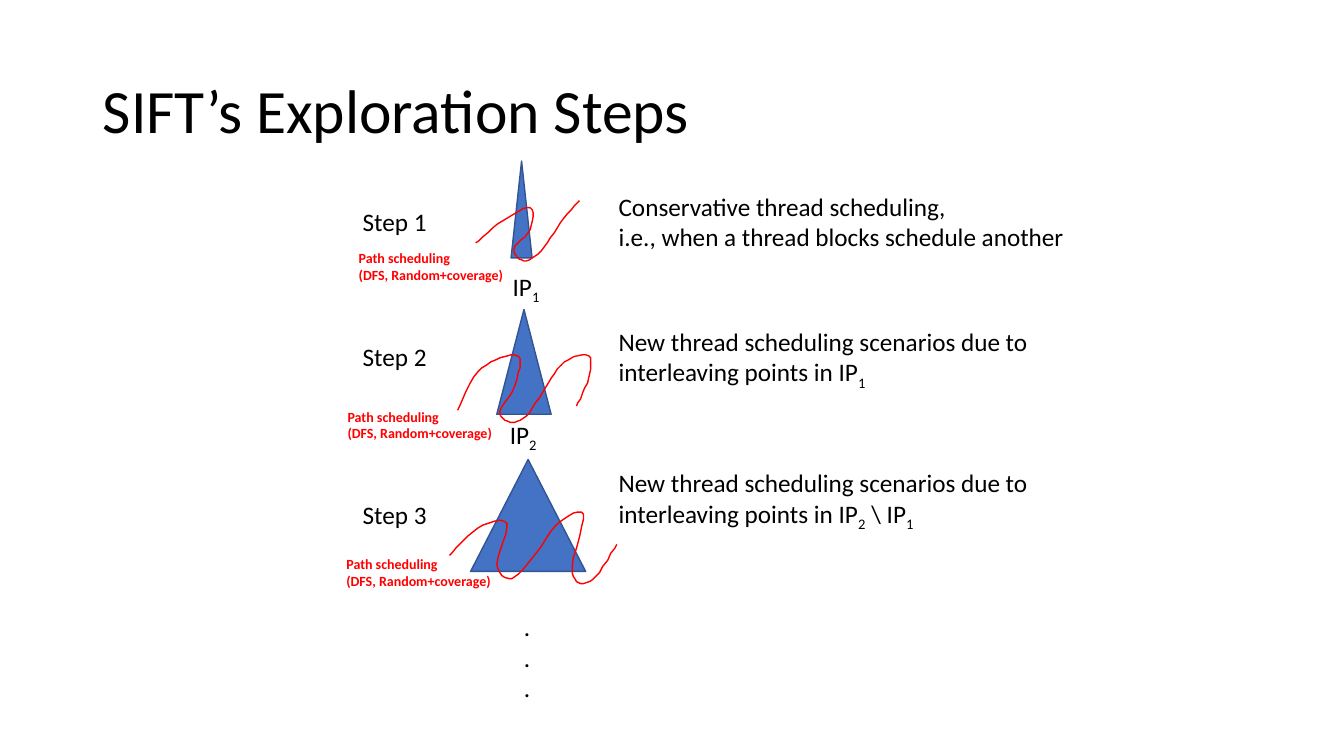
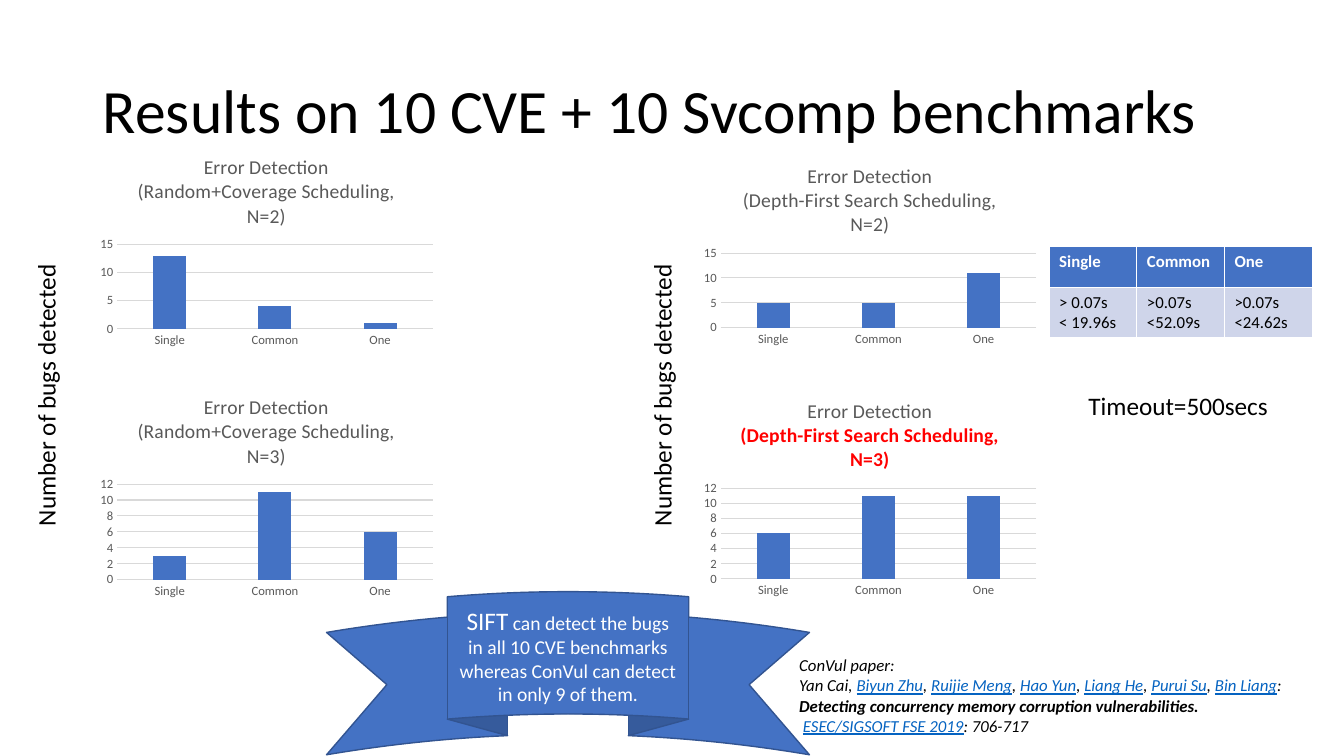
from lxml.etree import SubElement
from pptx import Presentation
from pptx.chart.data import CategoryChartData
from pptx.dml.color import RGBColor
from pptx.enum.chart import XL_CHART_TYPE, XL_TICK_MARK
from pptx.enum.shapes import MSO_SHAPE
from pptx.enum.text import MSO_ANCHOR, MSO_AUTO_SIZE, PP_ALIGN
from pptx.oxml.ns import qn
from pptx.util import Cm, Pt

BLACK = RGBColor(0x00, 0x00, 0x00)
WHITE = RGBColor(0xFF, 0xFF, 0xFF)
RED = RGBColor(0xFF, 0x00, 0x00)
BLUE = RGBColor(0x44, 0x72, 0xC4)
DARK_BLUE = RGBColor(0x32, 0x54, 0x91)
LINK_BLUE = RGBColor(0x05, 0x63, 0xC1)
PALE_BLUE = RGBColor(0xCF, 0xD5, 0xEA)
GREY = RGBColor(0x59, 0x59, 0x59)
LIGHT_GREY = RGBColor(0xD9, 0xD9, 0xD9)

TITLE = {"size": Pt(44), "color": BLACK}
BODY = {"size": Pt(18), "color": BLACK}
STRATEGY = {"size": Pt(10), "bold": True, "color": RED}
CITATION = {"size": Pt(12), "italic": True, "color": BLACK}
RIBBON = {"size": Pt(14), "color": WHITE}
CHART_TITLE = {"size": Pt(14), "bold": False, "color": GREY}
TICK_LABEL = {"size": Pt(9), "color": GREY}
HEADER_CELL = {"size": Pt(12), "bold": True, "color": WHITE}
BODY_CELL = {"size": Pt(12), "bold": False, "color": BLACK}
LINK = {"color": LINK_BLUE, "underline": True}
SUBSCRIPT = {"baseline": "-25000"}

# A paragraph is a string or a list of spans; a span is a string or (text, format).
SUB_1, SUB_2 = ("1", SUBSCRIPT), ("2", SUBSCRIPT)
STRATEGY_TEXT = ["Path scheduling", "(DFS, Random+coverage)"]
NEW_SCENARIOS = "New thread scheduling scenarios due to"
LINE_HEIGHT = 1.02
LABEL_LEFT, NOTE_LEFT = 8.89, 15.34
SCRIBBLE_UNIT = Cm(2.54) / 100
CURVE_PARTS = 6

STEPS = [
    {
        "label": ("Step 1", 5.08),
        "triangle": (12.88, 4.06, 0.53, 2.44),
        "note": (["Conservative thread scheduling,",
                  "i.e., when a thread blocks schedule another"], 4.7, 11.86),
        "strategy": (8.79, 6.17),
        "points": ([["IP", SUB_1]], 12.67, 6.71),
        "scribble": [(472, 241), (499, 219), (526, 206), (526, 228), (510, 247),
                     (520, 259), (537, 249), (556, 221), (575, 199)],
    },
    {
        "label": ("Step 2", 8.48),
        "triangle": (12.52, 7.8, 1.37, 2.64),
        "note": ([NEW_SCENARIOS, ["interleaving points in IP", SUB_1]], 8.1, 11.1),
        "strategy": (8.51, 10.16),
        "points": ([["IP", SUB_2]], 12.6, 10.44),
        "scribble": [(454, 407), (474, 369), (500, 354), (516, 356), (509, 387),
                     (496, 408), (506, 419), (522, 413), (541, 385), (560, 359),
                     (584, 353), (584, 375), (572, 403)],
    },
    {
        "label": ("Step 3", 12.47),
        "triangle": (11.86, 11.58, 2.9, 2.82),
        "note": ([NEW_SCENARIOS,
                  ["interleaving points in IP", SUB_2, " \\ IP", SUB_1]], 11.66, 11.1),
        "strategy": (8.48, 13.87),
        "points": None,
        "scribble": [(446, 551), (474, 524), (503, 519), (493, 560), (508, 574),
                     (531, 550), (554, 519), (579, 510), (568, 560), (574, 578),
                     (591, 572), (612, 540)],
    },
]

CATEGORIES = ["Single", "Common", "One"]
CHART_LEFTS = {"Random+Coverage": 2.34, "Depth-First Search": 17.55}
CHART_WIDTH = 8.74
ABOVE_PLOT, BELOW_PLOT = 2.6, 0.6
SCALES = {2: (15, 5), 3: (12, 2)}  # maximum and step for each N
# Scheduling, N, values, top, height, format of the subtitle
CHARTS = [
    ("Random+Coverage", 2, (13, 4, 1), 3.56, 5.33, {}),
    ("Depth-First Search", 2, (5, 5, 11), 3.78, 5.08, {}),
    ("Random+Coverage", 3, (3, 11, 6), 9.6, 5.61, {}),
    ("Depth-First Search", 3, (6, 11, 11), 9.7, 5.49, {"bold": True, "color": RED}),
]
AXIS_TITLE_LEFTS = [-2.44, 13.08]
TIMES = [["> 0.07s", "< 19.96s"], [">0.07s", "<52.09s"], [">0.07s", "<24.62s"]]
RIBBON_TEXT = [[
    ("SIFT", {"size": Pt(18)}),
    " can detect the bugs in all 10 CVE benchmarks whereas ConVul can detect "
    "in only 9 of them."]]
COAUTHORS = ["Biyun Zhu", "Ruijie Meng", "Hao Yun", "Liang He", "Purui Su", "Bin Liang"]


def citation_paragraphs():
    authors = ["Yan Cai"]
    for name in COAUTHORS:
        authors += [", ", (name, LINK)]
    return [
        "ConVul paper:",
        authors + [":"],
        [("Detecting concurrency memory corruption vulnerabilities.", {"bold": True})],
        [" ", ("ESEC/SIGSOFT FSE 2019", LINK), ": 706-717"],
    ]


def set_font(font, values):
    for key, value in {"name": "Calibri", **values}.items():
        if key == "color":
            font.color.rgb = value
        elif key != "baseline":
            setattr(font, key, value)


def write(frame, paragraphs, style, align=PP_ALIGN.LEFT):
    for index, spans in enumerate(paragraphs):
        para = frame.add_paragraph() if index else frame.paragraphs[0]
        para.alignment = align
        for part in [spans] if isinstance(spans, str) else spans:
            text, extra = (part, {}) if isinstance(part, str) else part
            span = para.add_run()
            span.text = text
            set_font(span.font, {**style, **extra})
            if "baseline" in extra:
                span._r.get_or_add_rPr().set("baseline", extra["baseline"])


def add_text(page, place, paragraphs, style=BODY, wrap=False, rotation=0):
    box = page.shapes.add_textbox(*map(Cm, place))
    box.rotation = rotation
    box.text_frame.word_wrap = wrap
    box.text_frame.auto_size = MSO_AUTO_SIZE.SHAPE_TO_FIT_TEXT
    write(box.text_frame, paragraphs, style)


def add_titled_page(deck, text):
    page = deck.slides.add_slide(deck.slide_layouts[5])
    title = page.shapes.title
    title.left, title.top, title.width, title.height = map(Cm, (2.34, 1.02, 29.21, 3.68))
    frame = title.text_frame
    frame.auto_size = MSO_AUTO_SIZE.NONE
    frame.vertical_anchor = MSO_ANCHOR.MIDDLE
    write(frame, [text], TITLE)
    frame.paragraphs[0].line_spacing = 0.9
    return page


def add_blue_shape(page, kind, place):
    shape = page.shapes.add_shape(kind, *map(Cm, place))
    shape.shadow.inherit = False
    shape.fill.solid()
    shape.fill.fore_color.rgb = BLUE
    shape.line.color.rgb = DARK_BLUE
    shape.line.width = Pt(1)
    return shape


def smooth(points):
    """Return points along a Catmull-Rom curve through the given ones."""
    padded = [points[0], *points, points[-1]]
    curve = [points[0]]
    for corners in zip(padded, padded[1:], padded[2:], padded[3:]):
        for part in range(1, CURVE_PARTS + 1):
            t = part / CURVE_PARTS
            curve.append(tuple(
                b + t * (c - a) / 2 + t**2 * (a - 2.5 * b + 2 * c - d / 2)
                + t**3 * (3 * (b - c) + d - a) / 2
                for a, b, c, d in zip(*corners)))
    return curve


def add_scribble(page, points):
    start, *others = smooth(points)
    builder = page.shapes.build_freeform(*start, scale=SCRIBBLE_UNIT)
    builder.add_line_segments(others, close=False)
    scribble = builder.convert_to_shape()
    scribble.shadow.inherit = False
    scribble.fill.background()
    scribble.line.color.rgb = RED
    scribble.line.width = Pt(1)


def add_step(page, step):
    label, label_top = step["label"]
    note, note_top, note_width = step["note"]
    add_blue_shape(page, MSO_SHAPE.ISOSCELES_TRIANGLE, step["triangle"])
    add_text(page, (LABEL_LEFT, label_top, 2.13, LINE_HEIGHT), [label])
    add_text(page, (NOTE_LEFT, note_top, note_width, 1.8), note)
    if step["points"]:
        text, left, top = step["points"]
        add_text(page, (left, top, 1.22, LINE_HEIGHT), text)
    add_scribble(page, step["scribble"])
    add_text(page, (*step["strategy"], 4.22, 1.12), STRATEGY_TEXT, STRATEGY)


def fix_plot_area(chart, chart_height):
    """Pin the inner plot area at fixed distances from the chart's edges."""
    area = chart._chartSpace.chart.plotArea
    for old in area.findall(qn("c:layout")):
        area.remove(old)
    layout = SubElement(area, qn("c:layout"))
    area.insert(0, layout)
    manual = SubElement(layout, qn("c:manualLayout"))
    settings = {"layoutTarget": "inner", "xMode": "edge", "yMode": "edge",
                "x": 0.07, "y": ABOVE_PLOT / chart_height,
                "w": 0.91, "h": 1 - (ABOVE_PLOT + BELOW_PLOT) / chart_height}
    for tag, value in settings.items():
        SubElement(manual, qn("c:" + tag)).set("val", str(value))


def add_bug_chart(page, scheduling, n, values, top, height, accent):
    data = CategoryChartData()
    data.categories = CATEGORIES
    data.add_series("Series 1", values)
    place = (CHART_LEFTS[scheduling], top, CHART_WIDTH, height)
    chart = page.shapes.add_chart(
        XL_CHART_TYPE.COLUMN_CLUSTERED, *map(Cm, place), data).chart
    set_font(chart.font, {"size": Pt(10), "color": BLACK})
    chart.has_legend = False
    chart.has_title = True
    chart.chart_title.include_in_layout = False
    write(chart.chart_title.text_frame,
          ["Error Detection", [(f"({scheduling} Scheduling, N={n})", accent)]],
          CHART_TITLE, PP_ALIGN.CENTER)

    plot = chart.plots[0]
    plot.gap_width, plot.overlap, plot.vary_by_categories = 219, -27, False
    plot.series[0].format.fill.solid()
    plot.series[0].format.fill.fore_color.rgb = BLUE

    category, value = chart.category_axis, chart.value_axis
    for axis in (category, value):
        axis.major_tick_mark = axis.minor_tick_mark = XL_TICK_MARK.NONE
        set_font(axis.tick_labels.font, TICK_LABEL)
    value.minimum_scale = 0
    value.maximum_scale, value.major_unit = SCALES[n]
    value.format.line.fill.background()
    for line in (category.format.line, value.major_gridlines.format.line):
        line.color.rgb = LIGHT_GREY
        line.width = Pt(0.75)
    fix_plot_area(chart, height)


def add_time_table(page):
    rows = [([[name] for name in CATEGORIES], HEADER_CELL, BLUE, 1.02),
            (TIMES, BODY_CELL, PALE_BLUE, 1.27)]
    table = page.shapes.add_table(
        len(rows), len(CATEGORIES), *map(Cm, (26.44, 6.22, 6.63, 2.29))).table
    for row, (texts, style, color, height) in zip(table.rows, rows):
        row.height = Cm(height)
        for cell, paragraphs in zip(row.cells, texts):
            cell.fill.solid()
            cell.fill.fore_color.rgb = color
            write(cell.text_frame, paragraphs, style)


def build_steps_page(deck):
    page = add_titled_page(deck, "SIFT’s Exploration Steps")
    for step in STEPS:
        add_step(page, step)
    add_text(page, (12.95, 15.29, 0.69, 2.57), ["."] * 3)


def build_results_page(deck):
    page = add_titled_page(deck, "Results on 10 CVE + 10 Svcomp benchmarks")
    for chart in CHARTS:
        add_bug_chart(page, *chart)
    ribbon = add_blue_shape(page, MSO_SHAPE.CURVED_UP_RIBBON, (8.23, 14.91, 12.17, 4.11))
    ribbon.text_frame.vertical_anchor = MSO_ANCHOR.MIDDLE
    write(ribbon.text_frame, RIBBON_TEXT, RIBBON, PP_ALIGN.CENTER)
    add_text(page, (19.89, 16.38, 12.78, 2.34), citation_paragraphs(), CITATION)
    for left in AXIS_TITLE_LEFTS:
        add_text(page, (left, 9.4, 7.19, LINE_HEIGHT), ["Number of bugs detected"],
                 rotation=270)
    add_text(page, (27.18, 9.7, 5.13, LINE_HEIGHT), ["Timeout=500secs"], wrap=True)
    add_time_table(page)


def main():
    deck = Presentation()
    deck.slide_width, deck.slide_height = Cm(33.87), Cm(19.05)
    build_steps_page(deck)
    build_results_page(deck)
    deck.save("out.pptx")


if __name__ == "__main__":
    main()
